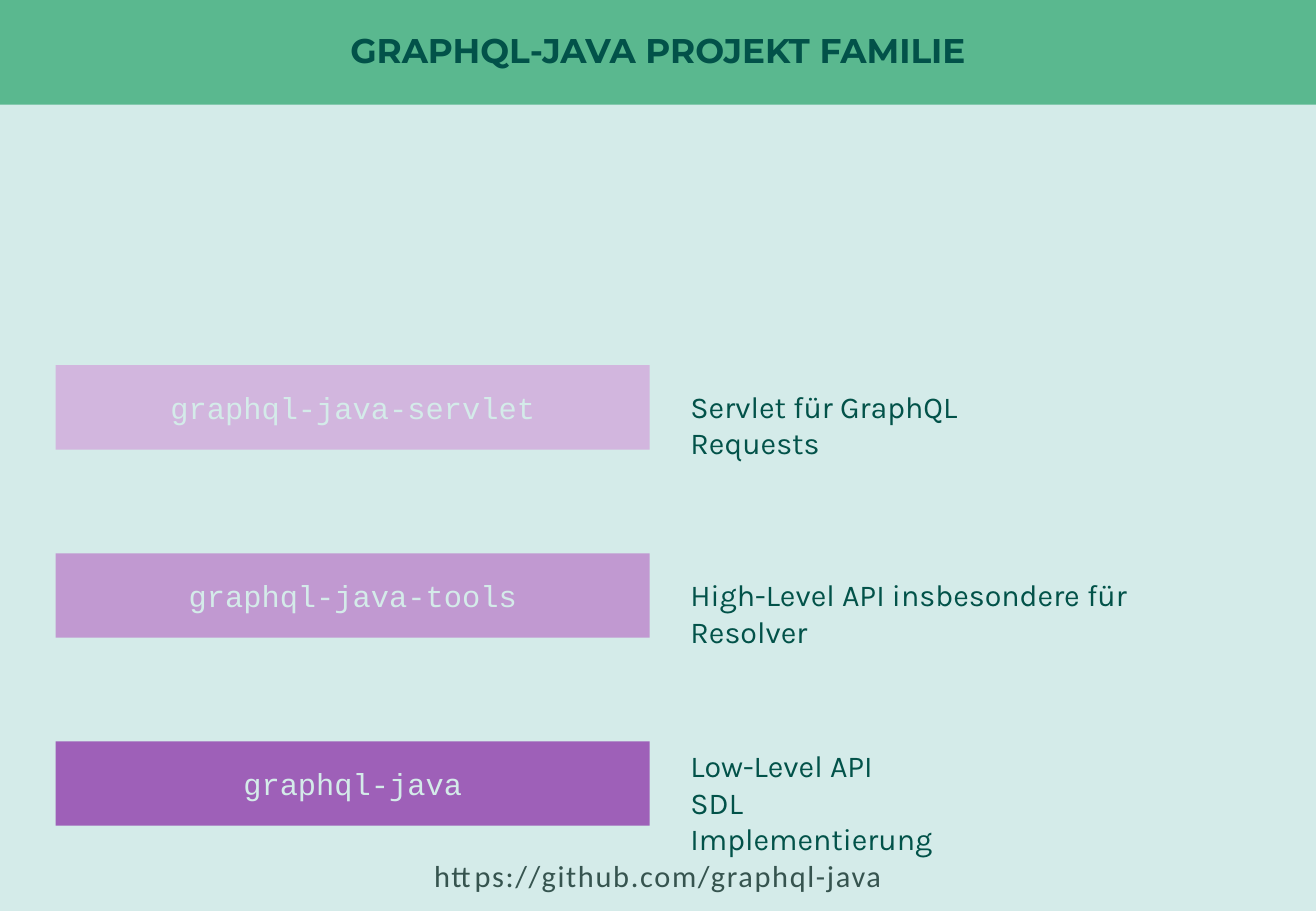
from dataclasses import dataclass

from pptx import Presentation
from pptx.dml.color import RGBColor
from pptx.enum.shapes import MSO_SHAPE
from pptx.enum.text import MSO_ANCHOR, PP_ALIGN
from pptx.util import Pt


@dataclass(frozen=True)
class Theme:
    background: str = "D4EBE9"
    header: str = "5AB88F"
    dark: str = "025249"
    link: str = "36544F"
    title_font: str = "Montserrat"
    body_font: str = "Karla"
    code_font: str = "Courier New"
    link_font: str = "Calibri"
    title_size: float = 20.3
    body_size: float = 18


class SlideBuilder:
    def __init__(self, slide, theme):
        self.slide = slide
        self.theme = theme
        fill = slide.background.fill
        fill.solid()
        fill.fore_color.rgb = RGBColor.from_string(theme.background)

    def rectangle(self, left, top, width, height, color):
        shape = self.slide.shapes.add_shape(
            MSO_SHAPE.RECTANGLE, Pt(left), Pt(top), Pt(width), Pt(height))
        shape.shadow.inherit = False
        shape.fill.solid()
        shape.fill.fore_color.rgb = RGBColor.from_string(color)
        shape.line.fill.background()
        return shape

    def text_box(self, left, top, width, height):
        return self.slide.shapes.add_textbox(Pt(left), Pt(top), Pt(width), Pt(height))

    def set_text(self, shape, lines, font, color, size=None,
                 align=PP_ALIGN.LEFT, anchor=MSO_ANCHOR.TOP, bold=False):
        frame = shape.text_frame
        frame.word_wrap = True
        frame.vertical_anchor = anchor
        frame.text = "\n".join(lines)
        for paragraph in frame.paragraphs:
            paragraph.alignment = align
            paragraph.font.name = font
            paragraph.font.size = Pt(size or self.theme.body_size)
            paragraph.font.bold = bold
            paragraph.font.color.rgb = RGBColor.from_string(color)
        return frame

    def title(self, text, width, height):
        theme = self.theme
        bar = self.rectangle(0, 0, width, height, theme.header)
        frame = self.set_text(bar, [text], theme.title_font, theme.dark, theme.title_size,
                              PP_ALIGN.CENTER, MSO_ANCHOR.MIDDLE, True)
        frame.margin_left = frame.margin_right = frame.margin_top = frame.margin_bottom = 0
        frame.paragraphs[0].line_spacing = 0.9

    def project(self, top, name, color):
        shape = self.rectangle(33, top, 352, 50, color)
        self.set_text(shape, [name], self.theme.code_font, self.theme.background,
                      align=PP_ALIGN.CENTER, anchor=MSO_ANCHOR.MIDDLE)

    def description(self, top, width, lines):
        box = self.text_box(402, top, width, 29)
        self.set_text(box, lines, self.theme.body_font, self.theme.dark)

    def address(self, text, top, width):
        box = self.text_box(0, top, width, 29)
        frame = self.set_text(box, [text], self.theme.link_font, self.theme.link,
                              align=PP_ALIGN.CENTER)
        # Letter spacing of one point
        frame.paragraphs[0].runs[0].font._element.set("spc", "100")


SLIDE_WIDTH, SLIDE_HEIGHT = 779.76, 540
FIRST_TOP, ROW_PITCH = 216.5, 111.5

# Name, fill, offset and width of the description, description lines
PROJECTS = [
    ("graphql-java-servlet", "D2B6DE", 10, 246, ["Servlet für GraphQL Requests"]),
    ("graphql-java-tools", "C199D1", 10, 324, ["High-Level API insbesondere für Resolver"]),
    ("graphql-java", "9E60B8", 0, 180, ["Low-Level API", "SDL Implementierung"]),
]


def main():
    presentation = Presentation()
    presentation.slide_width = Pt(SLIDE_WIDTH)
    presentation.slide_height = Pt(SLIDE_HEIGHT)
    slide = presentation.slides.add_slide(presentation.slide_layouts[6])
    builder = SlideBuilder(slide, Theme())

    # Header
    builder.title("GRAPHQL-JAVA PROJEKT FAMILIE", SLIDE_WIDTH, 62)

    # Project stack
    for row, (name, color, offset, width, lines) in enumerate(PROJECTS):
        top = FIRST_TOP + row * ROW_PITCH
        builder.project(top, name, color)
        builder.description(top + offset, width, lines)

    # Web address
    builder.address("https://github.com/graphql-java", 504.5, SLIDE_WIDTH)

    presentation.save("out.pptx")


if __name__ == "__main__":
    main()
